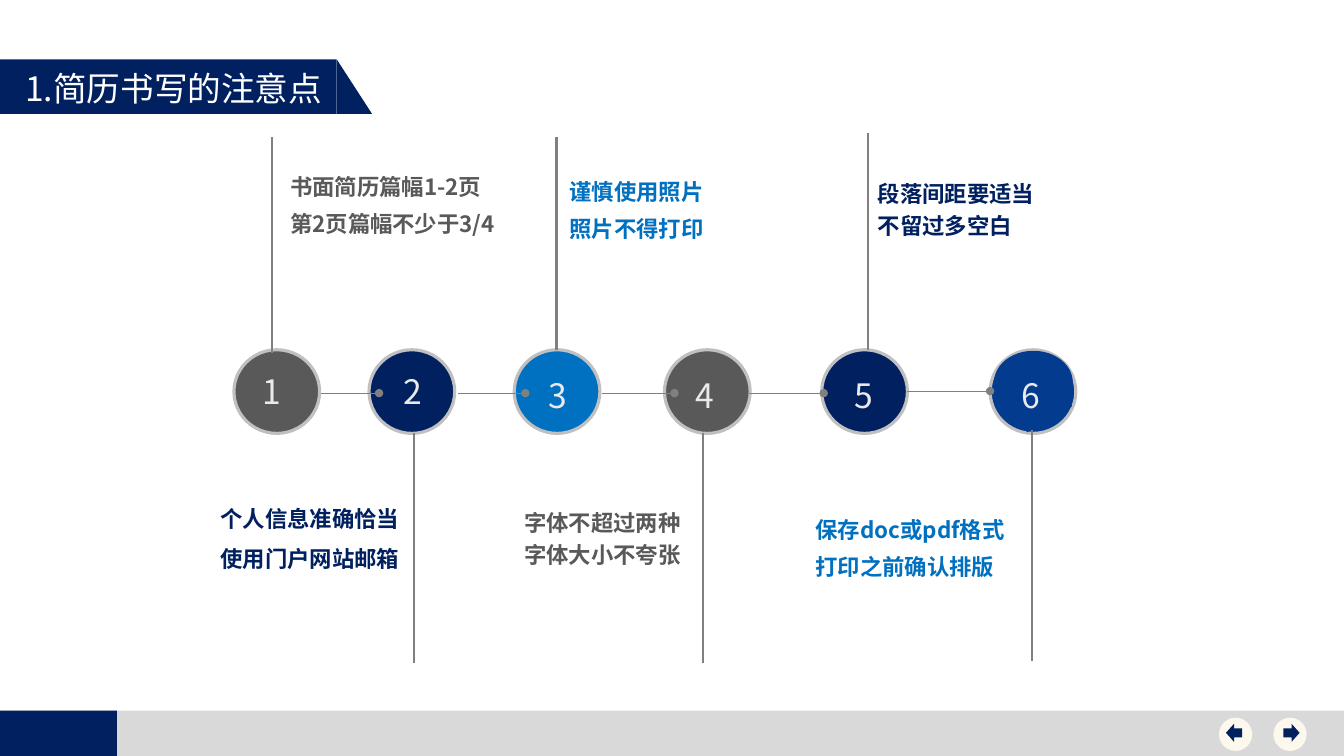
"""Build the résumé-writing notes slide with its six-step timeline."""
from dataclasses import dataclass
from math import cos, pi, radians, sin

from lxml import etree
from pptx import Presentation
from pptx.dml.color import RGBColor
from pptx.enum.shapes import MSO_CONNECTOR, MSO_SHAPE
from pptx.enum.text import MSO_ANCHOR, MSO_AUTO_SIZE, PP_ALIGN
from pptx.oxml.ns import qn
from pptx.util import Inches, Pt

RECTANGLE = MSO_SHAPE.RECTANGLE
TRIANGLE = MSO_SHAPE.RIGHT_TRIANGLE
OVAL = MSO_SHAPE.OVAL
LEFT_ARROW = MSO_SHAPE.LEFT_ARROW
RIGHT_ARROW = MSO_SHAPE.RIGHT_ARROW
STRAIGHT = MSO_CONNECTOR.STRAIGHT
LEFT, CENTER = PP_ALIGN.LEFT, PP_ALIGN.CENTER
TOP = MSO_ANCHOR.TOP
NO_AUTOFIT = MSO_AUTO_SIZE.NONE
TITLE_ONLY = 5


@dataclass(frozen=True)
class Theme:
    font: str = "Noto Sans CJK SC"
    navy: str = "002060"
    royal: str = "033C8F"
    blue: str = "0070C0"
    dark_gray: str = "595959"
    line_gray: str = "808080"
    rim_gray: str = "C0C0C0"
    footer_gray: str = "D9D9D9"
    number: str = "EAEAEA"
    cream: str = "FCF8ED"
    white: str = "FFFFFF"
    heading_size: int = 24
    caption_size: int = 16
    rim_width: float = 2.25
    stem_width: float = 1.5
    link_width: float = 0.75


@dataclass(frozen=True)
class Box:
    left: float
    top: float
    width: float
    height: float

    def lengths(self) -> tuple:
        return tuple(Inches(v) for v in (self.left, self.top, self.width, self.height))


@dataclass(frozen=True)
class Line:
    x1: float
    y1: float
    x2: float
    y2: float


@dataclass(frozen=True)
class Step:
    number: str
    disc_left: float
    disc_color: str
    number_box: Box
    stem: Line
    caption: str
    caption_box: Box
    caption_color: str
    spacing: float
    link: Line | None = None


THEME = Theme()
DISC_TOP, DISC_WIDTH, DISC_HEIGHT = 3.47, 0.85, 0.83
STEPS = [
    Step("1", 2.32, THEME.dark_gray, Box(2.56, 3.63, 0.27, 0.47), Line(2.7, 3.5, 2.7, 1.36),
         "书面简历篇幅1-2页\n第2页篇幅不少于3/4", Box(2.78, 1.56, 2.54, 0.85), THEME.dark_gray, 1.4),
    Step("2", 3.66, THEME.navy, Box(3.96, 3.63, 0.27, 0.47), Line(4.11, 6.58, 4.11, 4.3),
         "个人信息准确恰当\n使用门户网站邮箱", Box(2.09, 4.83, 2.66, 0.86), THEME.navy, 1.5,
         Line(3.76, 3.9, 3.18, 3.9)),
    Step("3", 5.1, THEME.blue, Box(5.32, 3.67, 0.42, 0.47), Line(5.52, 3.47, 5.52, 1.36),
         "谨慎使用照片\n照片不得打印", Box(5.55, 1.61, 2.95, 0.85), THEME.blue, 1.4,
         Line(5.21, 3.9, 4.54, 3.9)),
    Step("4", 6.59, THEME.dark_gray, Box(6.78, 3.67, 0.42, 0.47), Line(6.97, 6.58, 6.97, 4.3),
         "字体不超过两种\n字体大小不夸张", Box(5.1, 4.95, 1.87, 1.22), THEME.dark_gray, 1.2,
         Line(6.69, 3.9, 5.97, 3.9)),
    Step("5", 8.15, THEME.navy, Box(8.36, 3.67, 0.42, 0.47), Line(8.61, 3.47, 8.61, 1.32),
         "段落间距要适当\n不留过多空白", Box(8.61, 1.68, 2.83, 0.72), THEME.navy, 1.2,
         Line(8.17, 3.9, 7.43, 3.9)),
    Step("6", 9.82, THEME.royal, Box(10.01, 3.67, 0.42, 0.47), Line(10.24, 6.56, 10.24, 4.27),
         "保存doc或pdf格式\n打印之前确认排版", Box(7.99, 4.96, 3.01, 0.85), THEME.blue, 1.4,
         Line(9.82, 3.88, 9.0, 3.88)),
]


def paint(shape, fill: str, rim: str | None = None) -> None:
    shape.shadow.inherit = False
    shape.fill.solid()
    shape.fill.fore_color.rgb = RGBColor.from_string(fill)
    if rim is None:
        shape.line.fill.background()
    else:
        shape.line.color.rgb = RGBColor.from_string(rim)
        shape.line.width = Pt(THEME.rim_width)


def add_figure(slide, preset: MSO_SHAPE, box: Box, fill: str, rim: str | None = None) -> None:
    paint(slide.shapes.add_shape(preset, *box.lengths()), fill, rim)


def add_half_ellipse(slide, x: float, y: float, rx: float, ry: float, tilt: float, fill: str) -> None:
    angle = radians(tilt)
    arc = []
    for step in range(25):
        along, out = rx * cos(pi * step / 24), ry * sin(pi * step / 24)
        arc.append((Inches(x + along * cos(angle) + out * sin(angle)),
                    Inches(y + along * sin(angle) - out * cos(angle))))
    builder = slide.shapes.build_freeform(*arc[0])
    builder.add_line_segments(arc[1:], close=True)
    paint(builder.convert_to_shape(), fill)


def add_line(slide, line: Line, width: float, dotted_start: bool = False) -> None:
    ends = (Inches(v) for v in (line.x1, line.y1, line.x2, line.y2))
    connector = slide.shapes.add_connector(STRAIGHT, *ends)
    connector.line.color.rgb = RGBColor.from_string(THEME.line_gray)
    connector.line.width = Pt(width)
    if dotted_start:
        etree.SubElement(connector.line._get_or_add_ln(), qn("a:headEnd"), type="oval")
    etree.SubElement(connector._element.spPr, qn("a:effectLst"))


def write(shape, text: str, size: int, color: str, align: PP_ALIGN = LEFT,
          bold: bool = False, spacing: float = 1.0, wrap: bool = True) -> None:
    frame = shape.text_frame
    frame.text = text
    frame.word_wrap = wrap
    frame.auto_size = NO_AUTOFIT
    frame.vertical_anchor = TOP
    for paragraph in frame.paragraphs:
        paragraph.alignment = align
        paragraph.line_spacing = spacing
        for run in paragraph.runs:
            run.font.size = Pt(size)
            run.font.bold = bold
            run.font.color.rgb = RGBColor.from_string(color)
            run.font.name = THEME.font
            etree.SubElement(run._r.get_or_add_rPr(), qn("a:ea"), typeface=THEME.font)


def add_step(slide, step: Step) -> None:
    disc = Box(step.disc_left, DISC_TOP, DISC_WIDTH, DISC_HEIGHT)
    add_figure(slide, OVAL, disc, step.disc_color, THEME.rim_gray)
    if step.disc_color == THEME.royal:
        add_half_ellipse(slide, 10.25, 3.79, 0.39, 0.31, 0, step.disc_color)
        add_half_ellipse(slide, 10.41, 4.16, 0.26, 0.13, -30, step.disc_color)
    if step.link:
        add_line(slide, step.link, THEME.link_width, dotted_start=True)
    add_line(slide, step.stem, THEME.stem_width)
    number = slide.shapes.add_textbox(*step.number_box.lengths())
    write(number, step.number, THEME.heading_size, THEME.number, CENTER, wrap=False)
    caption = slide.shapes.add_textbox(*step.caption_box.lengths())
    write(caption, step.caption, THEME.caption_size, step.caption_color,
          bold=True, spacing=step.spacing)


def add_heading(slide) -> None:
    add_figure(slide, RECTANGLE, Box(0, 0.59, 3.34, 0.54), THEME.navy)
    add_figure(slide, TRIANGLE, Box(3.34, 0.59, 0.35, 0.54), THEME.navy)
    title = slide.shapes.title
    title.left, title.top, title.width, title.height = Box(0.15, 0.62, 3.4, 0.5).lengths()
    write(title, "1.简历书写的注意点", THEME.heading_size, THEME.white)
    slide.shapes._spTree.append(title._element)


def add_footer(slide) -> None:
    add_figure(slide, RECTANGLE, Box(0, 7.05, 13.33, 0.46), THEME.footer_gray)
    add_figure(slide, RECTANGLE, Box(0, 7.05, 1.16, 0.46), THEME.navy)
    for button_left, arrow_left, arrow in ((12.63, 12.73, RIGHT_ARROW), (12.09, 12.16, LEFT_ARROW)):
        add_figure(slide, OVAL, Box(button_left, 7.12, 0.33, 0.33), THEME.cream)
        add_figure(slide, arrow, Box(arrow_left, 7.18, 0.16, 0.18), THEME.navy)


def main() -> None:
    deck = Presentation()
    deck.slide_width, deck.slide_height = Inches(13.33), Inches(7.5)
    slide = deck.slides.add_slide(deck.slide_layouts[TITLE_ONLY])
    add_footer(slide)
    add_heading(slide)
    for step in STEPS:
        add_step(slide, step)
    deck.save("out.pptx")


if __name__ == "__main__":
    main()
